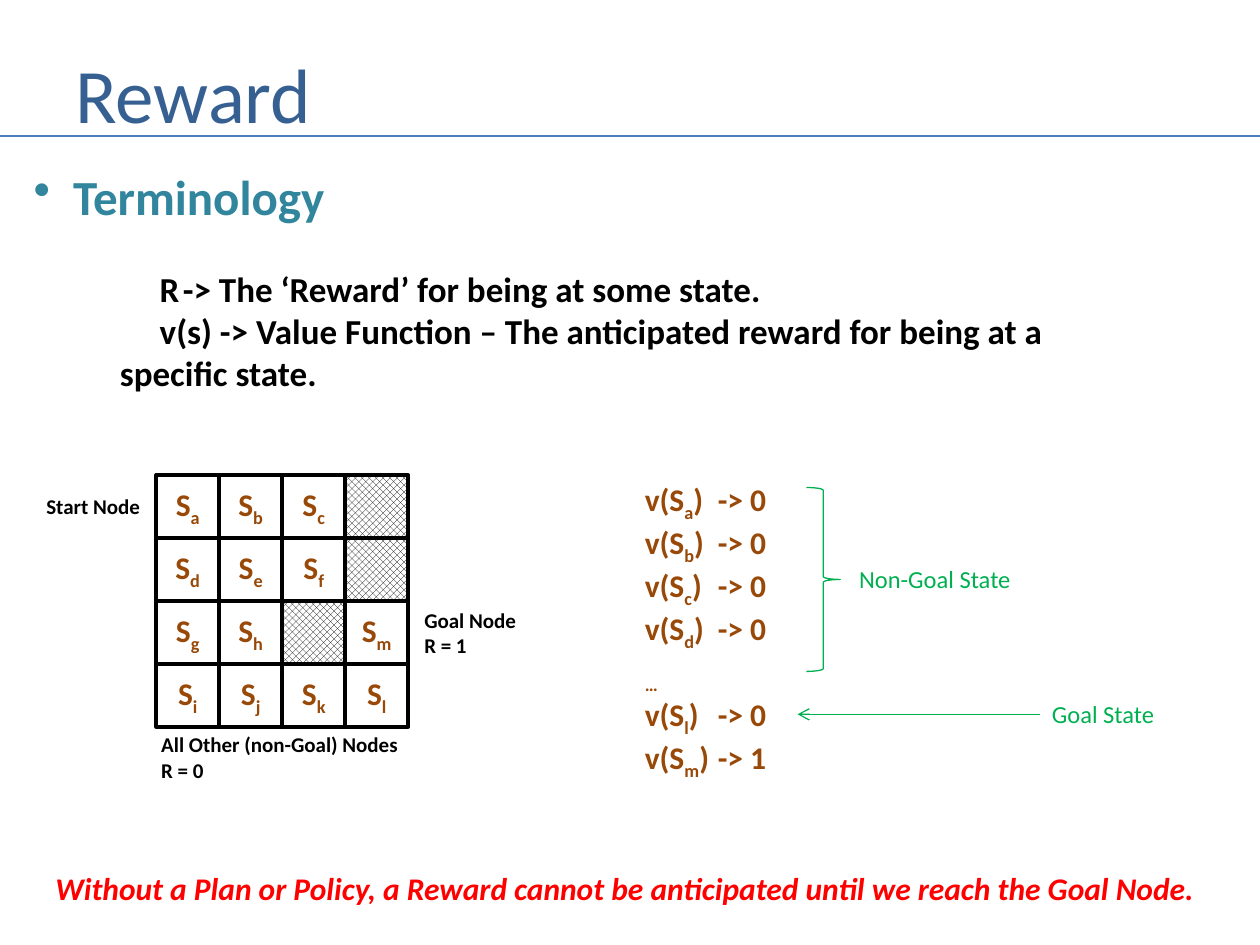
import pptx
import pptx.util
import pptx.dml.color
import pptx.enum.dml
import pptx.enum.shapes
import pptx.enum.text
import pptx.oxml

Pt = pptx.util.Pt
SHAPES = pptx.enum.shapes.MSO_SHAPE
ALIGN = pptx.enum.text.PP_ALIGN
ANCHOR = pptx.enum.text.MSO_ANCHOR
NS = 'xmlns:a="http://schemas.openxmlformats.org/drawingml/2006/main"'

COLORS = {
    "title": "376092", "rule": "4B7EBC", "heading": "31859C", "text": "000000",
    "state": "984807", "callout": "00B050", "warning": "FF0000", "cell": "FFFFFF",
}
FORMATS = {
    "title": {"size": Pt(44)},
    "heading": {"size": Pt(28), "bold": True},
    "term": {"size": Pt(20), "bold": True},
    "state": {"size": Pt(18), "bold": True},
    "label": {"size": Pt(12), "bold": True},
    "callout": {"size": Pt(14)},
    "warning": {"size": Pt(18), "bold": True, "italic": True},
}

title = "Reward"
heading = "Terminology"
terms = [
    "R\t-> The ‘Reward’ for being at some state.",
    "v(s) -> Value Function – The anticipated reward for being at a specific state.",
]
maze = ["abc#", "def#", "gh#m", "ijkl"]
values = [("a", 0), ("b", 0), ("c", 0), ("d", 0), None, ("l", 0), ("m", 1)]
labels = [
    (["Start Node"], "label", "text", (19.4, 278.6, 68.4, 21.8)),
    (["Goal Node", "R = 1"], "label", "text", (235.4, 343.4, 67.7, 36.4)),
    (["All Other (non-Goal) Nodes", "R = 0"], "label", "text", (85, 414.7, 151.9, 36.4)),
    (["Non-Goal State"], "callout", "callout", (483.8, 319, 102.2, 24.2)),
    (["Goal State"], "callout", "callout", (594, 396, 73.4, 24.2)),
    (["Without a Plan or Policy, a Reward cannot be anticipated until we reach the Goal Node."],
     "warning", "warning", (24.5, 493.2, 670.3, 29.1)),
]
MAZE_LEFT, MAZE_TOP, CELL = 89.3, 271.4, 36


def rgb(name):
    return pptx.dml.color.RGBColor.from_string(COLORS[name])


def add_run(paragraph, text, style, color, subscript=False):
    run = paragraph.add_run()
    run.text = text
    run.font.name = "Calibri"
    run.font.color.rgb = rgb(color)
    for attribute, value in FORMATS[style].items():
        setattr(run.font, attribute, value)
    if subscript:
        run.font._element.set("baseline", "-25000")


def add_frame(box, wrap=True):
    frame = slide.shapes.add_textbox(*map(Pt, box)).text_frame
    frame.word_wrap = wrap
    return frame


def paragraphs(frame, items):
    for index, item in enumerate(items):
        yield (frame.add_paragraph() if index else frame.paragraphs[0]), item


def add_tab(paragraph, position):
    paragraph._p.get_or_add_pPr().append(pptx.oxml.parse_xml(
        f'<a:tabLst {NS}><a:tab pos="{Pt(position)}" algn="l"/></a:tabLst>'))


def set_indent(paragraph, margin, first):
    properties = paragraph._p.get_or_add_pPr()
    properties.set("marL", str(Pt(margin)))
    properties.set("indent", str(Pt(first)))


def add_line(start, end, color, width, arrow=False):
    line = slide.shapes.add_connector(
        pptx.enum.shapes.MSO_CONNECTOR.STRAIGHT, *map(Pt, start + end))
    line.line.color.rgb = rgb(color)
    line.line.width = Pt(width)
    if arrow:
        line.line._get_or_add_ln().append(pptx.oxml.parse_xml(f'<a:tailEnd {NS} type="arrow"/>'))
    line._element.spPr.append(pptx.oxml.parse_xml(f"<a:effectLst {NS}/>"))


def add_outline(kind, box, color, width):
    shape = slide.shapes.add_shape(kind, *map(Pt, box))
    shape.shadow.inherit = False
    shape.line.color.rgb = rgb(color)
    shape.line.width = Pt(width)
    return shape


def add_cell(row, column, state):
    box = (MAZE_LEFT + column * CELL, MAZE_TOP + row * CELL, CELL, CELL)
    cell = add_outline(SHAPES.RECTANGLE, box, "text", 2)
    if state == "#":
        cell.fill.patterned()
        cell.fill.pattern = pptx.enum.dml.MSO_PATTERN.LARGE_CHECKER_BOARD
        cell.fill.fore_color.rgb = rgb("text")
        cell.fill.back_color.rgb = rgb("cell")
        return
    cell.fill.solid()
    cell.fill.fore_color.rgb = rgb("cell")
    cell.text_frame.vertical_anchor = ANCHOR.MIDDLE
    name = cell.text_frame.paragraphs[0]
    name.alignment = ALIGN.CENTER
    add_run(name, "S", "state", "state")
    add_run(name, state, "state", "state", True)


deck = pptx.Presentation()
deck.slide_width, deck.slide_height = Pt(720), Pt(540)
slide = deck.slides.add_slide(deck.slide_layouts[6])

title_frame = add_frame((36, 21.6, 653.8, 62.6))
title_frame.vertical_anchor = ANCHOR.MIDDLE
add_run(title_frame.paragraphs[0], title, "title", "title")
add_line((0, 77.8), (720, 77.8), "rule", 1.5)

for paragraph, text in paragraphs(add_frame((12.2, 91.4, 617.8, 138.2)), [heading] + terms):
    if text == heading:
        set_indent(paragraph, 22.5, -22.5)
        paragraph._p.get_or_add_pPr().append(pptx.oxml.parse_xml(f'<a:buChar {NS} char="•"/>'))
        add_run(paragraph, text, "heading", "heading")
    else:
        set_indent(paragraph, 49.2, 22.8)
        add_tab(paragraph, 105.6)
        if text == terms[0]:
            paragraph.space_before = Pt(24.4)
        add_run(paragraph, text, "term", "text")

for row, states in enumerate(maze):
    for column, state in enumerate(states):
        add_cell(row, column, state)

for paragraph, entry in paragraphs(add_frame((361.4, 270.7, 198, 152.6)), values):
    if entry is None:
        add_run(paragraph, "…", "state", "state", True)
        continue
    state, value = entry
    add_tab(paragraph, 41.7)
    add_run(paragraph, "v(S", "state", "state")
    add_run(paragraph, state, "state", "state", True)
    add_run(paragraph, f")\t-> {value}", "state", "state")

add_outline(SHAPES.RIGHT_BRACE, (460.8, 278.6, 19.4, 105.1), "callout", 0.75).fill.background()
add_line((594, 408.2), (455.8, 408.2), "callout", 0.75, arrow=True)

for lines, style, color, box in labels:
    for paragraph, text in paragraphs(add_frame(box, wrap=False), lines):
        add_run(paragraph, text, style, color)

deck.save("out.pptx")
